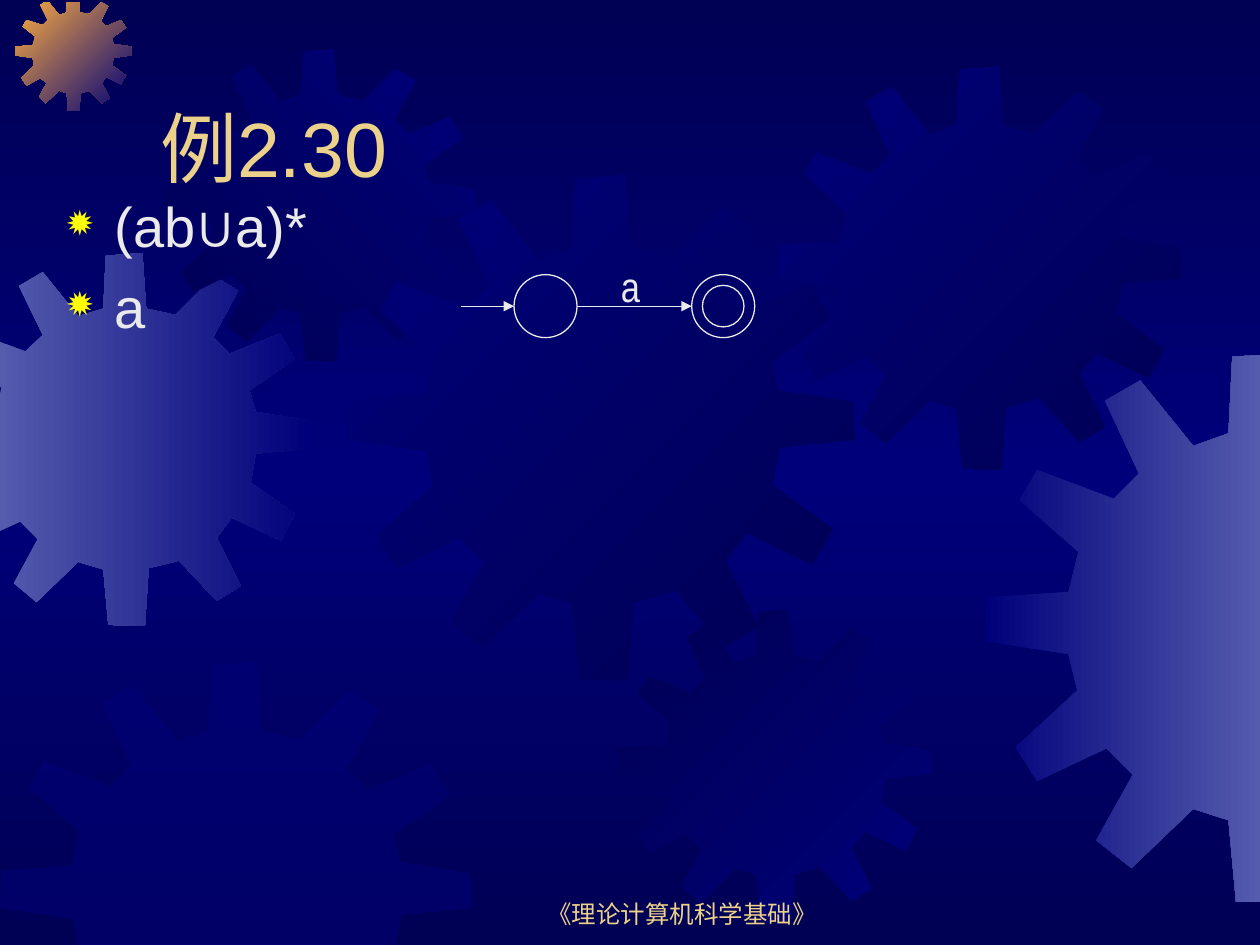
from copy import deepcopy

from lxml.etree import SubElement
from pptx import Presentation
from pptx.dml.color import RGBColor
from pptx.enum.shapes import MSO_CONNECTOR as Connector
from pptx.enum.shapes import MSO_SHAPE as Preset
from pptx.enum.text import MSO_ANCHOR as Anchor
from pptx.enum.text import MSO_AUTO_SIZE as AutoSize
from pptx.enum.text import PP_ALIGN as Align
from pptx.oxml.ns import qn
from pptx.util import Pt

EMU_PER_PX = 9144
WIDTH, HEIGHT = 1000, 750
CLIP_BOUNDS = [(0, -1, 1), (1, 2, 1), (0, 1001, -1), (1, 754, -1)]
COLORS = {
    "navy": "000054", "blue": "00007A", "lilac": "555BAD", "orange": "FCAB40",
    "gold": "EBD189", "white": "EAEAEA", "yellow": "FFFF00",
}
GEAR_SIZE = 401
GEAR_OUTLINE = [
    (255, 67), (223, 59), (219, 0), (180, 3), (177, 59), (151, 68), (113, 20), (87, 35),
    (112, 88), (94, 106), (38, 85), (25, 107), (68, 145), (61, 174), (1, 178), (0, 210),
    (61, 219), (67, 246), (22, 287), (38, 312), (88, 288), (107, 307), (81, 355), (106, 375),
    (151, 332), (177, 340), (183, 400), (222, 401), (226, 339), (259, 330), (299, 374), (325, 358),
    (299, 306), (316, 284), (368, 309), (384, 281), (336, 246), (342, 216), (401, 210), (400, 180),
    (341, 171), (335, 148), (383, 114), (367, 87), (313, 109), (296, 91), (323, 41), (297, 25),
]
GEARS = [
    (-49, 201, 296, ("lilac", "blue"), 0),
    (12, -4, 92, ("orange", "blue"), 45),
    (130, 39, 248, ("navy", "blue"), 315),
    (277, 139, 401, ("blue", "navy"), 45),
    (0, 525, 374, ("blue",), 0),
    (491, 484, 248, ("navy", "blue"), 45),
    (618, 53, 320, ("blue", "navy"), 45),
    (782, 280, 437, ("blue", "lilac"), 0),
]


def px(*lengths):
    return [round(length * EMU_PER_PX) for length in lengths]


def rgb(color):
    return RGBColor.from_string(COLORS[color])


def clip(points, axis, bound, sign):
    kept = []
    for start, end in zip(points[-1:] + points[:-1], points):
        start_inside = (start[axis] - bound) * sign >= 0
        end_inside = (end[axis] - bound) * sign >= 0
        if start_inside != end_inside:
            share = (bound - start[axis]) / (end[axis] - start[axis])
            kept.append(tuple(a + share * (b - a) for a, b in zip(start, end)))
        if end_inside:
            kept.append(end)
    return kept


class SlideBuilder:
    def __init__(self, presentation):
        self.slide = presentation.slides.add_slide(presentation.slide_layouts[5])
        self.shapes = self.slide.shapes

    def gradient(self, fill, owner, colors, angle):
        fill.gradient()
        fill.gradient_angle = -angle % 360
        stop_list = next(owner.iter(qn("a:gsLst")))
        for _ in colors[2:]:
            stop_list.append(deepcopy(stop_list[0]))
        for index, (stop, color) in enumerate(zip(fill.gradient_stops, colors)):
            stop.color.rgb = rgb(color)
            stop.position = index / (len(colors) - 1)

    def background(self, colors, angle):
        self.gradient(self.slide.background.fill, self.slide.element, colors, angle)

    def gear(self, left, top, size, colors, angle):
        scale = size / GEAR_SIZE
        points = [(left + x * scale, top + y * scale) for x, y in GEAR_OUTLINE]
        for boundary in CLIP_BOUNDS:
            points = clip(points, *boundary)
        builder = self.shapes.build_freeform(*points[0], scale=EMU_PER_PX)
        builder.add_line_segments(points[1:], close=True)
        shape = builder.convert_to_shape()
        shape.shadow.inherit = False
        shape.line.fill.background()
        if len(colors) > 1:
            self.gradient(shape.fill, shape.element, colors, angle)
        else:
            shape.fill.solid()
            shape.fill.fore_color.rgb = rgb(colors[0])
            solid = next(shape.element.iter(qn("a:srgbClr")))
            SubElement(solid, qn("a:alpha")).set("val", "50000")

    def set_text(self, shape, box, lines, size, color, font="Arial", align=Align.LEFT,
                 anchor=Anchor.TOP, before=0):
        shape.left, shape.top, shape.width, shape.height = px(*box)
        frame = shape.text_frame
        frame.text = "\n".join(lines)
        frame.word_wrap = True
        frame.auto_size = AutoSize.NONE
        frame.vertical_anchor = anchor
        for paragraph in frame.paragraphs:
            paragraph.alignment = align
            paragraph.space_before = Pt(before)
            paragraph.font.size = Pt(size)
            paragraph.font.name = font
            paragraph.font.color.rgb = rgb(color)
        return frame

    def title(self, box, text, size, color):
        shape = self.shapes.title
        shape.element.getparent().append(shape.element)
        self.set_text(shape, box, [text], size, color, anchor=Anchor.BOTTOM)

    def text(self, box, lines, size, color, **style):
        shape = self.shapes.add_textbox(*px(*box))
        return self.set_text(shape, box, lines, size, color, **style)

    def bullets(self, box, lines, size, color):
        frame = self.text(box, lines, size, color, before=8)
        indent = px(38)[0]
        for paragraph in frame.paragraphs:
            properties = paragraph._p.get_or_add_pPr()
            properties.set("marL", str(indent))
            properties.set("indent", str(-indent))
            bullet_color, bullet_size, bullet = [
                SubElement(properties, qn(tag)) for tag in ("a:buClr", "a:buSzPct", "a:buChar")]
            SubElement(bullet_color, qn("a:srgbClr")).set("val", COLORS["yellow"])
            bullet_size.set("val", "80000")
            bullet.set("char", "✹")
            properties.append(properties.find(qn("a:defRPr")))

    def circle(self, center_x, center_y, diameter):
        radius = diameter / 2
        shape = self.shapes.add_shape(
            Preset.OVAL, *px(center_x - radius, center_y - radius, diameter, diameter))
        shape.shadow.inherit = False
        shape.fill.background()
        shape.line.color.rgb = rgb("white")
        shape.line.width = Pt(0.75)

    def arrow(self, start_x, end_x, y):
        connector = self.shapes.add_connector(Connector.STRAIGHT, *px(start_x, y, end_x, y))
        connector.line.color.rgb = rgb("white")
        connector.line.width = Pt(0.75)
        properties = connector.element.spPr
        SubElement(properties.find(qn("a:ln")), qn("a:tailEnd")).set("type", "triangle")
        SubElement(properties, qn("a:effectLst"))


def main():
    presentation = Presentation()
    presentation.slide_width, presentation.slide_height = px(WIDTH, HEIGHT)
    builder = SlideBuilder(presentation)
    builder.background(("navy", "blue", "navy"), 90)
    for gear in GEARS:
        builder.gear(*gear)
    builder.text((383, 692, 317, 50), ["《理论计算机科学基础》"], 14, "gold",
                 align=Align.CENTER, anchor=Anchor.BOTTOM)
    builder.title((117, 33, 850, 125), "例2.30", 44, "gold")
    builder.bullets((43, 147, 850, 167), ["(ab∪a)*", "a"], 32, "white")

    state_y, start_x, accept_x, diameter = 243, 433, 574, 50
    radius = diameter // 2
    builder.circle(start_x, state_y, diameter)
    builder.arrow(366, start_x - radius, state_y)
    builder.arrow(start_x + radius, accept_x - radius, state_y)
    for size in (diameter, 33):
        builder.circle(accept_x, state_y, size)
    builder.text((483, 202, 50, 50), ["a"], 24, "white", font="Arial Narrow", before=15)

    presentation.save("out.pptx")


if __name__ == "__main__":
    main()
